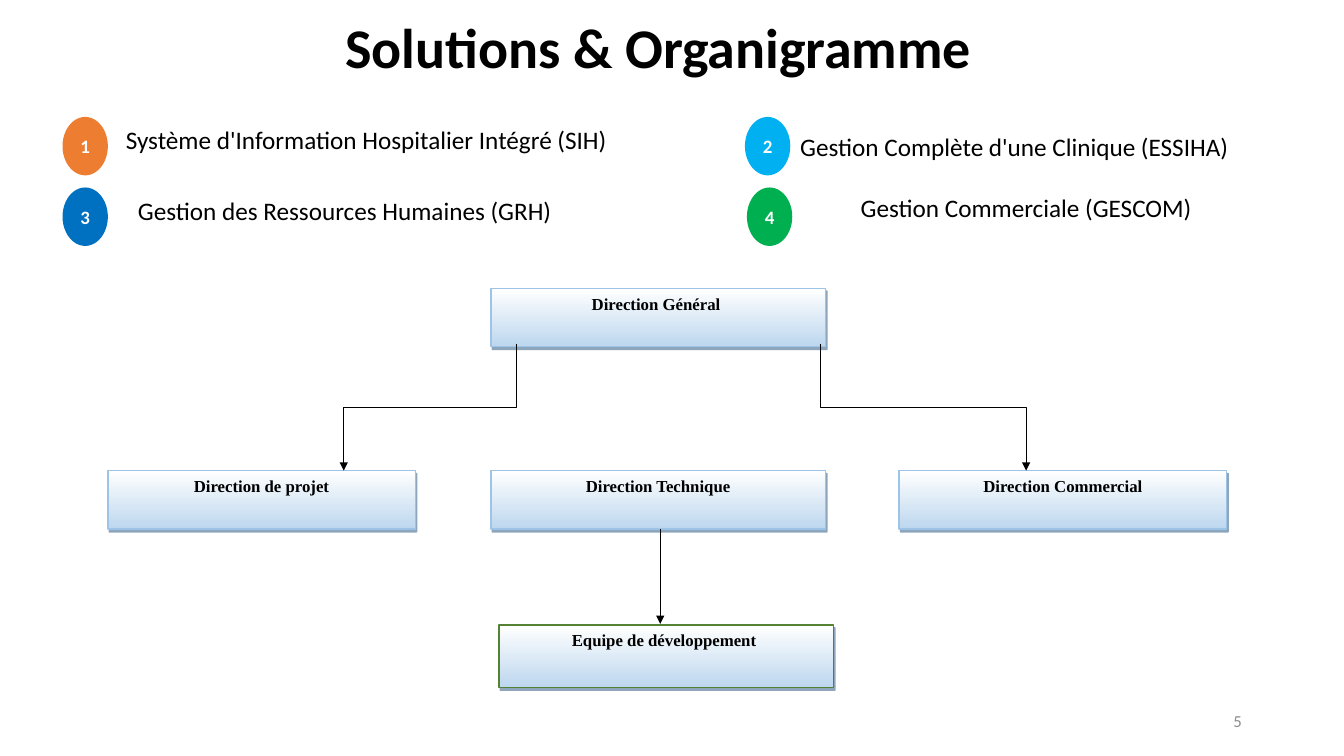
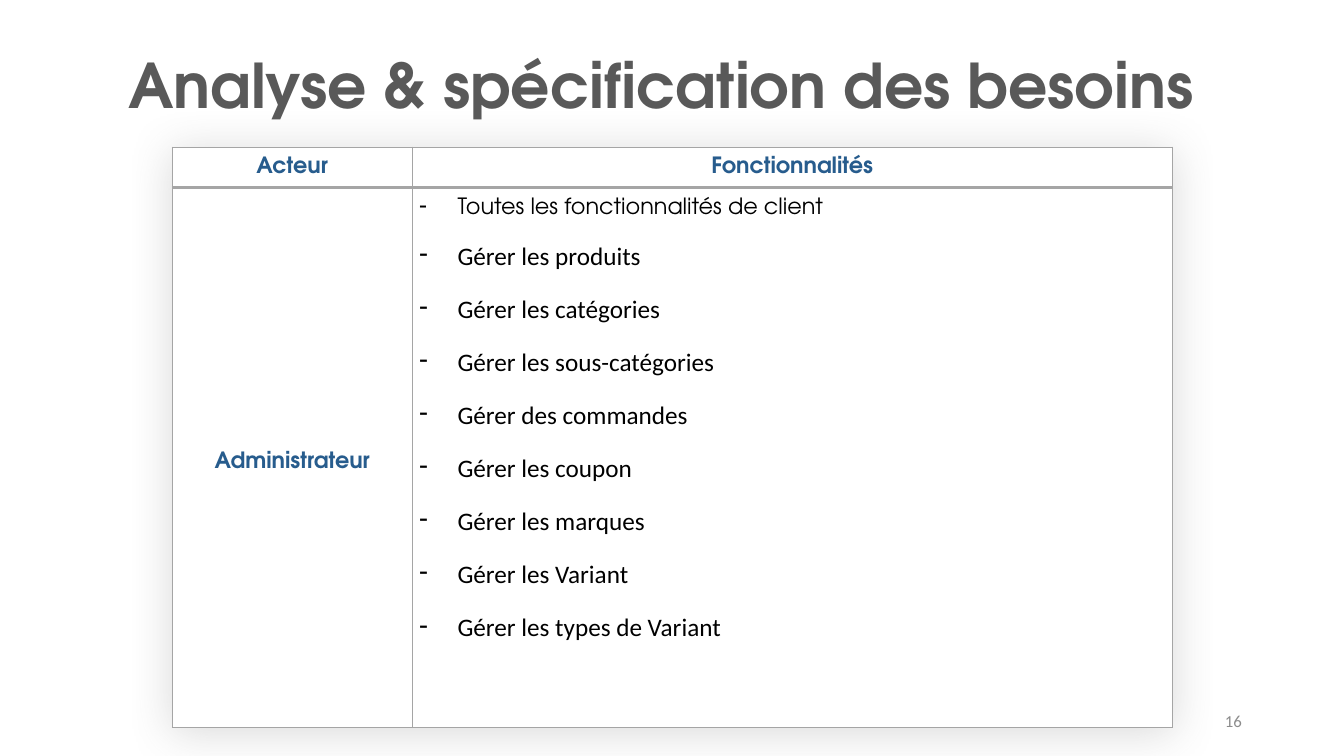
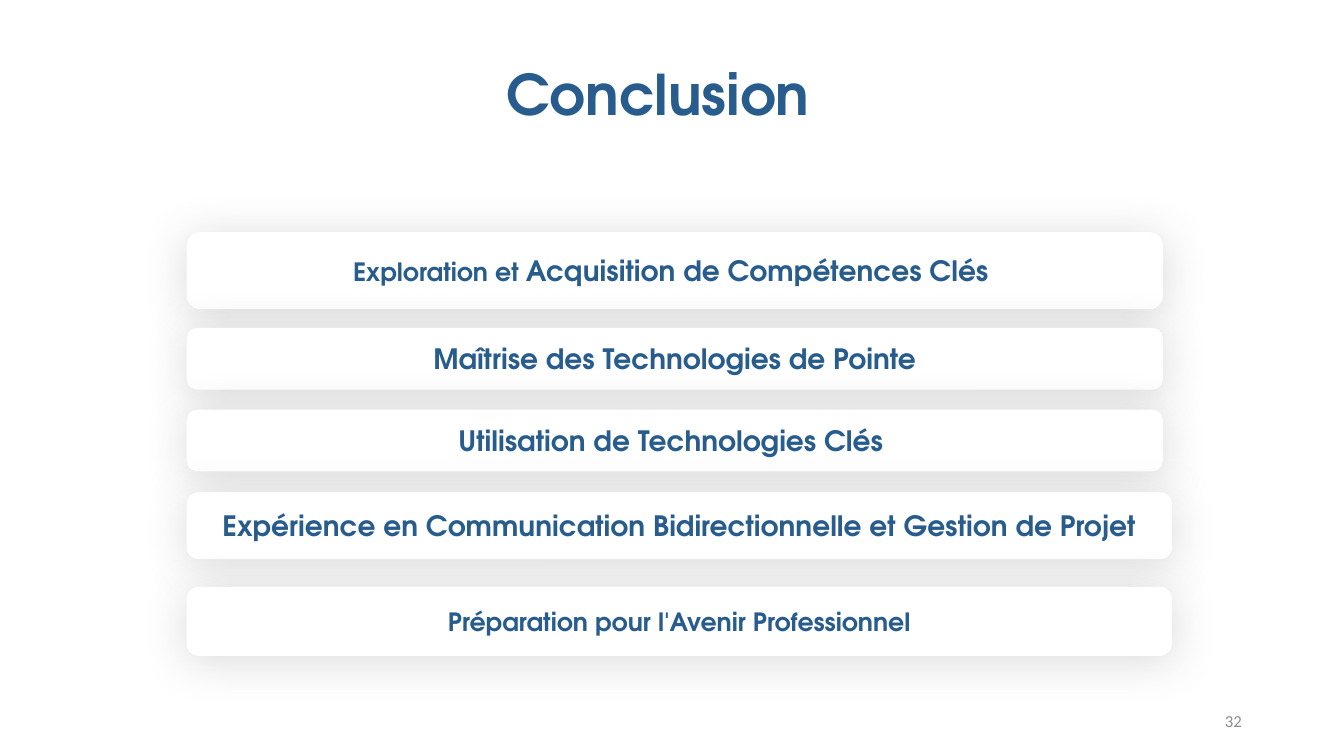
from pptx import Presentation
from pptx.dml.color import RGBColor
from pptx.enum.shapes import MSO_CONNECTOR, MSO_SHAPE
from pptx.enum.text import MSO_ANCHOR, MSO_AUTO_SIZE, PP_ALIGN
from pptx.oxml.ns import qn
from pptx.util import Emu, Pt
from lxml.etree import SubElement

SCALE = 9144
SANS, BRAND, SERIF = "Calibri", "TeX Gyre Adventor", "Times New Roman"
BLACK, WHITE, NAVY, GREY = "000000", "FFFFFF", "275C8D", "A5A5A5"
SKY, GREEN = "9DC3E6", "548235"
ALIGN = {"l": PP_ALIGN.LEFT, "c": PP_ALIGN.CENTER, "r": PP_ALIGN.RIGHT}
ANCHOR = {"t": MSO_ANCHOR.TOP, "m": MSO_ANCHOR.MIDDLE}
SOFT = ("595959", 22, 32, 3, 94)
HARD = ("1F4E79", 50, 0, 2.2, 63)


def px(num):
    return Emu(round(num * SCALE))


def rgb(code):
    return RGBColor.from_string(code)


def node(root, tag, **attrs):
    return SubElement(root, qn("a:" + tag), {key: str(val) for key, val in attrs.items()})


def write(frame, *lines, font=SANS, size=18, color=BLACK, bold=False,
          align="l", anchor="t", space=None, before=0, bullet=None):
    frame.word_wrap = True
    frame.vertical_anchor = ANCHOR[anchor]
    for i, line in enumerate(lines):
        para = frame.paragraphs[0] if i == 0 else frame.add_paragraph()
        if bullet:
            props = para._p.get_or_add_pPr()
            props.set("marL", str(px(38)))
            props.set("indent", str(px(-38)))
            node(props, "buChar", char=bullet)
        para.alignment = ALIGN[align]
        if space:
            para.line_spacing = space
        if i and before:
            para.space_before = Pt(before)
        for part in [line] if isinstance(line, str) else line:
            text, look = (part, {}) if isinstance(part, str) else part
            run = para.add_run()
            run.text = text
            run.font.name = look.get("font", font)
            run.font.size = Pt(look.get("size", size))
            run.font.bold = bold
            run.font.color.rgb = rgb(color)


def shade(root, color, alpha, blur, dist, angle):
    cast = node(root, "outerShdw", blurRad=Pt(blur), dist=Pt(dist),
                dir=angle * 60000, algn="ctr", rotWithShape=0)
    node(node(cast, "srgbClr", val=color), "alpha", val=alpha * 1000)


def label(slide, box, text, **look):
    item = slide.shapes.add_textbox(*map(px, box))
    write(item.text_frame, text, **look)


def panel(slide, kind, box, fill, edge=None, cast=None):
    item = slide.shapes.add_shape(kind, *map(px, box))
    item.shadow.inherit = False
    if isinstance(fill, str):
        item.fill.solid()
        item.fill.fore_color.rgb = rgb(fill)
    else:
        item.fill.gradient()
        item.fill.gradient_angle = 270
        for stop, code in zip(item.fill.gradient_stops, fill):
            stop.color.rgb = rgb(code)
    if edge:
        item.line.color.rgb = rgb(edge)
        item.line.width = Pt(1)
    else:
        item.line.fill.background()
    if cast:
        shade(item._element.spPr.find(qn("a:effectLst")), *cast)
    return item.text_frame


def arrow(slide, x, y, end, low):
    wide, high = abs(end - x), low - y
    if wide:
        left, top = (x + end - high) / 2, (y + low - wide) / 2
        spot = (left, top, left + high, top + wide)
        item = slide.shapes.add_connector(MSO_CONNECTOR.ELBOW, *map(px, spot))
        frame = item._element.spPr.find(qn("a:xfrm"))
        frame.set("rot", "16200000" if end > x else "5400000")
        if end > x:
            frame.set("flipH", "1")
    else:
        item = slide.shapes.add_connector(MSO_CONNECTOR.STRAIGHT, *map(px, (x, y, end, low)))
    item.line.color.rgb = rgb(BLACK)
    item.line.width = Pt(0.75)
    props = item._element.spPr
    node(props.find(qn("a:ln")), "tailEnd", type="triangle")
    node(props, "effectLst")


def start(deck, box, title, page, **look):
    slide = deck.slides.add_slide(deck.slide_layouts[5])
    head = slide.shapes.title
    head.left, head.top, head.width, head.height = map(px, box)
    head.text_frame.auto_size = MSO_AUTO_SIZE.NONE
    write(head.text_frame, title, bold=True, **look)
    label(slide, (942, 695, 300, 40), page, size=12, color="8C8C8C", align="r", anchor="m")
    return slide


def offers(slide, left, top):
    items = [
        ("ED7D31", 0, 0, (53, 2, 503), "Système d'Information Hospitalier Intégré (SIH)"),
        ("00B0F0", 677, 0, (722, 9, 452), "Gestion Complète d'une Clinique (ESSIHA)"),
        ("0070C0", 0, 70, (65, 73, 443), "Gestion des Ressources Humaines (GRH)"),
        ("00B050", 679, 70, (782, 70, 374), "Gestion Commerciale (GESCOM)"),
    ]
    for rank, (color, x, y, (side, drop, wide), text) in enumerate(items, 1):
        dot = panel(slide, MSO_SHAPE.OVAL, (left + x, top + y, 45, 58), color)
        write(dot, str(rank), size=13.5, color=WHITE, bold=True, align="c", anchor="m")
        label(slide, (left + side, top + drop, wide, 40), text)


def chart(slide, left, top):
    units = [
        (0, 181, 305, 58, SKY, "Direction de projet"),
        (380, 181, 332, 58, SKY, "Direction Technique"),
        (785, 181, 325, 58, SKY, "Direction Commercial"),
        (388, 334, 332, 62, GREEN, "Equipe de développement "),
        (380, 0, 332, 58, SKY, "Direction Général "),
    ]
    for x, y, wide, high, edge, text in units:
        box = (left + x, top + y, wide, high)
        frame = panel(slide, MSO_SHAPE.RECTANGLE, box, (WHITE, "BDD7EE"), edge, HARD)
        write(frame, text, font=SERIF, size=12, bold=True, align="c")
    for x, y, end, low in [(707, 55, 911, 181), (405, 55, 234, 181), (548, 239, 548, 333)]:
        arrow(slide, left + x, top + y, left + end, top + low)


def grid(slide, box, cols, rows, cells):
    table = slide.shapes.add_table(len(rows), len(cols), *map(px, box)).table
    table.first_row = table.horz_banding = False
    props = table._tbl.tblPr
    effect = node(props, "effectLst")
    props.insert(0, effect)
    shade(effect, *SOFT)
    for col, wide in zip(table.columns, cols):
        col.width = px(wide)
    for row, high in zip(table.rows, rows):
        row.height = px(high)
    for i, line in enumerate(cells):
        for j, (text, look) in enumerate(line):
            cell = table.cell(i, j)
            cell.margin_left = cell.margin_right = px(7)
            cell.margin_top = cell.margin_bottom = 0
            props = cell._tc.get_or_add_tcPr()
            for side in "LRTB":
                edge = node(props, "ln" + side, w=Pt(2 if side == "B" and i == 0 else 1))
                node(node(edge, "solidFill"), "srgbClr", val=GREY)
            cell.fill.solid()
            cell.fill.fore_color.rgb = rgb(WHITE)
            write(cell.text_frame, *text, space=1.5, **look)
            cell.vertical_anchor = ANCHOR[look.get("anchor", "t")]


def cards(slide, left, top, items):
    for y, wide, high, text in items:
        box = (left, top + y, wide, high)
        frame = panel(slide, MSO_SHAPE.ROUNDED_RECTANGLE, box, WHITE, WHITE, SOFT)
        write(frame, text, font=BRAND, size=20, color=NAVY, bold=True, align="c", anchor="m")


def main():
    deck = Presentation()
    deck.slide_width, deck.slide_height = px(1333.33), px(750)

    slide = start(deck, (127, 0, 1052, 100), "Solutions & Organigramme", "5",
                  size=40, align="c", anchor="m", space=0.9)
    offers(slide, 62, 116)
    chart(slide, 107, 286)

    slide = start(deck, (117, 15, 1125, 145), "Analyse & spécification des besoins", "16",
                  font=BRAND, size=44, color="595959", anchor="m", space=0.9)
    head = dict(font=BRAND, size=16, color=NAVY, bold=True, align="c")
    tasks = [
        [("Toutes les fonctionnalités de client", dict(font=BRAND, size=16))],
        "Gérer les produits",
        "Gérer les catégories",
        "Gérer les sous-catégories",
        "Gérer des commandes",
        "Gérer les coupon",
        "Gérer les marques",
        "Gérer les Variant",
        "Gérer les types de Variant",
    ]
    grid(slide, (171, 146, 992, 568), (238, 754), (32, 536), [
        [(["Acteur"], head), (["Fonctionnalités"], head)],
        [(["Administrateur"], dict(head, anchor="m")), (tasks, dict(bullet="-", before=5))],
    ])

    slide = start(deck, (452, 54, 409, 77), [("Conclusion"), (" ", dict(size=20))], "32",
                  font=BRAND, size=40, color=NAVY, align="c")
    small = dict(size=18)
    cards(slide, 186, 231, [
        (0, 967, 75, [("Exploration et ", small), "Acquisition de Compétences Clés "]),
        (95, 967, 60, "Maîtrise des Technologies de Pointe"),
        (176, 967, 60, "Utilisation de Technologies Clés "),
        (258, 976, 65, "Expérience en Communication Bidirectionnelle et Gestion de Projet"),
        (352, 976, 67, [("Préparation pour l'Avenir Professionnel", small)]),
    ])
    deck.save("out.pptx")


if __name__ == "__main__":
    main()
